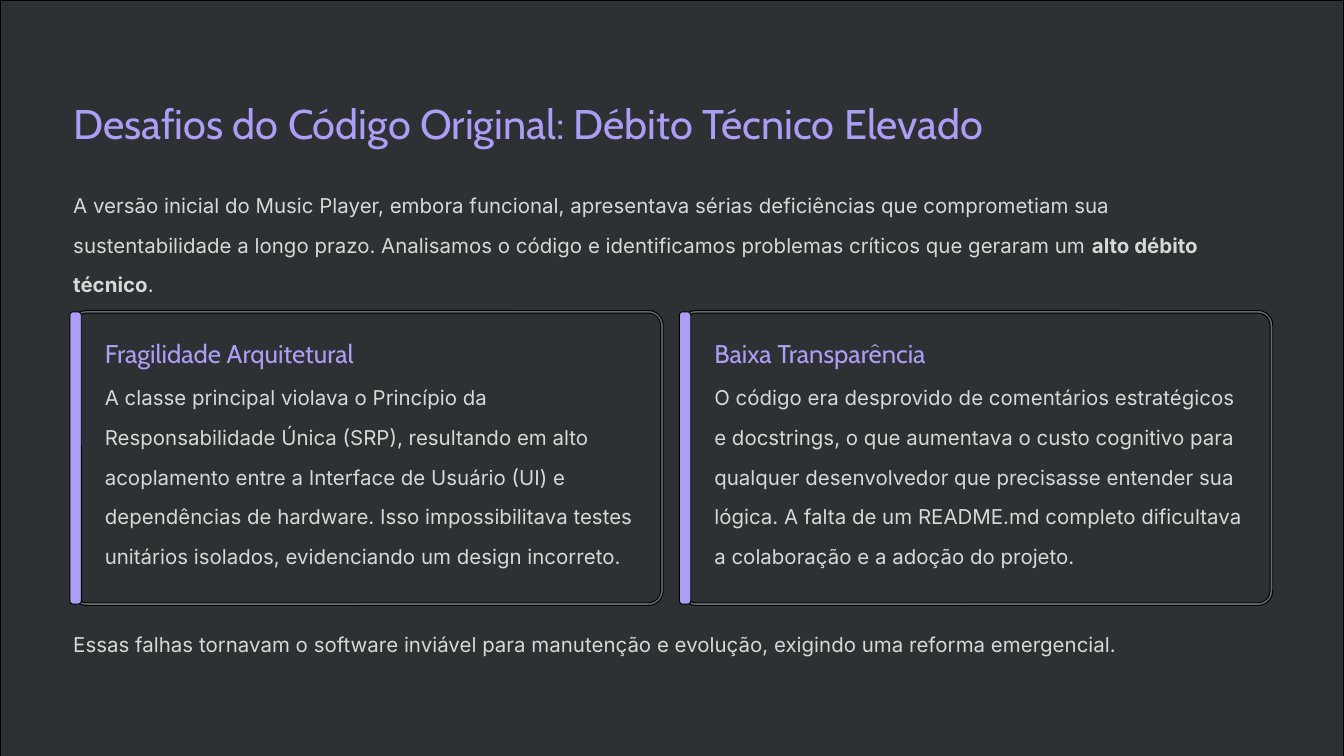
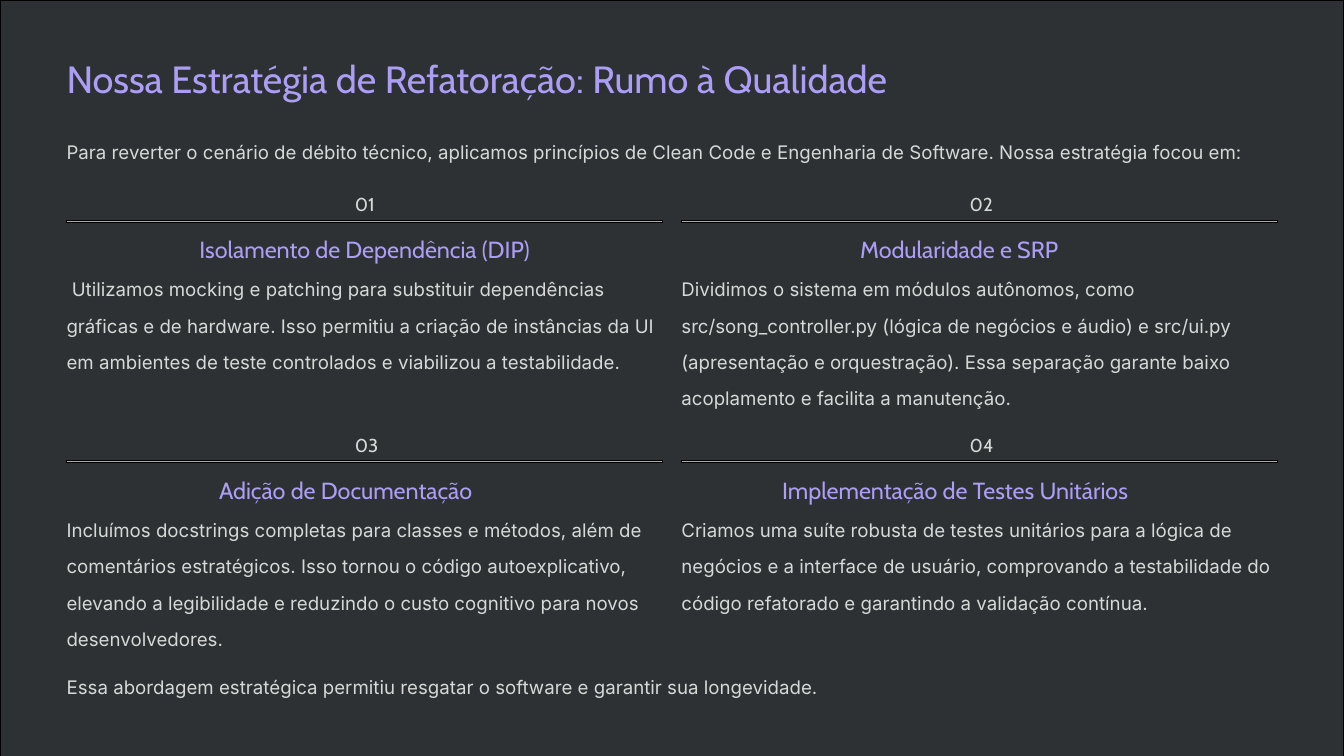
import pptx
import pptx.util
import pptx.dml.color
import pptx.enum.shapes
import pptx.enum.text

Inches = pptx.util.Inches
Pt = pptx.util.Pt
SHAPE = pptx.enum.shapes.MSO_SHAPE
ALIGN = pptx.enum.text.PP_ALIGN

COLORS = {
    "background": "2D3133",
    "accent": "AC9EF5",
    "text": "D6D9D7",
    "frame": "65696B",
    "outline": "000000",
}
HEAD_FONT = "Cabin"
BODY_FONT = "Inter"
WIDTH, HEIGHT = 20, 11.25


def rgb(name):
    return pptx.dml.color.RGBColor.from_string(COLORS[name])


class Deck:
    """Holds the presentation, its text sizes and the slide being filled."""

    def __init__(self):
        self.prs = pptx.Presentation()
        self.prs.slide_width = Inches(WIDTH)
        self.prs.slide_height = Inches(HEIGHT)

    def new_slide(self, title, heading, body):
        """Start a slide; each style is a (size, line spacing) pair in points."""
        self.s = self.prs.slides.add_slide(self.prs.slide_layouts[6])
        self.title_style, self.heading_style, self.body_style = title, heading, body
        self.box(0, 0, WIDTH, HEIGHT, "background")

    def box(self, x, y, w, h, fill, radius=0):
        kind = SHAPE.ROUNDED_RECTANGLE if radius else SHAPE.RECTANGLE
        sp = self.s.shapes.add_shape(kind, Inches(x), Inches(y), Inches(w), Inches(h))
        if radius:
            sp.adjustments[0] = radius / min(w, h)
        sp.shadow.inherit = False
        sp.fill.solid()
        sp.fill.fore_color.rgb = rgb(fill)
        sp.line.color.rgb = rgb("outline")
        sp.line.width = Pt(1)

    def text(self, x, y, w, h, runs, style, font, color, align=None):
        """Add a one-paragraph box; every second run is bold."""
        sp = self.s.shapes.add_textbox(Inches(x), Inches(y), Inches(w), Inches(h))
        tf = sp.text_frame
        tf.margin_left = tf.margin_right = tf.margin_top = tf.margin_bottom = 0
        tf.word_wrap = True
        tf.auto_size = pptx.enum.text.MSO_AUTO_SIZE.SHAPE_TO_FIT_TEXT
        p = tf.paragraphs[0]
        size, spacing = style
        p.font.size = Pt(size)
        p.font.name = font
        p.font.color.rgb = rgb(color)
        p.line_spacing = Pt(spacing)
        if align is not None:
            p.alignment = align
        for i, words in enumerate(runs):
            r = p.add_run()
            r.text = words
            if i % 2:
                r.font.bold = True

    def title(self, x, y, w, h, words):
        self.text(x, y, w, h, [words], self.title_style, HEAD_FONT, "accent")

    def heading(self, x, y, w, h, words, align=None):
        self.text(x, y, w, h, [words], self.heading_style, HEAD_FONT, "accent", align)

    def body(self, x, y, w, h, *runs):
        self.text(x, y, w, h, runs, self.body_style, BODY_FONT, "text")

    def card(self, x, y, heading, heading_w, words):
        w, h, edge = 8.76, 4.35, 0.02
        self.box(x - edge, y - edge, w + 2 * edge, h + 2 * edge, "frame", 0.22)
        self.box(x + edge, y + edge, w - 2 * edge, h - 2 * edge, "background", 0.18)
        self.box(x - 0.05, y, 0.17, h, "accent", 0.05)
        self.heading(x + 0.47, y + 0.27, heading_w, 0.57, heading)
        self.body(x + 0.47, y + 0.86, 7.93, 3.14, words)

    def step(self, x, y, number, heading, heading_x, heading_w, words, align=None):
        w = 8.87
        self.text(x + 4.29, y, 0.81, 0.49, [number], self.body_style, HEAD_FONT, "text")
        self.box(x, y + 0.62, w, 0.03, "accent")
        self.heading(heading_x, y + 0.73, heading_w, 0.54, heading, align)
        self.body(x, y + 1.27, w, 1.98, words)


def challenges(deck):
    deck.new_slide(title=(44.4, 66.7), heading=(27.5, 41.2), body=(21.9, 42.7))
    left, width = 1.09, 17.83
    deck.title(left, 1.28, 15.18, 0.91, "Desafios do Código Original: Débito Técnico Elevado")
    deck.body(
        left, 2.64, width, 1.65,
        "A versão inicial do Music Player, embora funcional, apresentava sérias "
        "deficiências que comprometiam sua sustentabilidade a longo prazo. Analisamos "
        "o código e identificamos problemas críticos que geraram um ",
        "alto débito técnico",
        ".",
    )
    cards = [
        ("Fragilidade Arquitetural", 4.3,
         "A classe principal violava o Princípio da Responsabilidade Única (SRP), "
         "resultando em alto acoplamento entre a Interface de Usuário (UI) e "
         "dependências de hardware. Isso impossibilitava testes unitários isolados, "
         "evidenciando um design incorreto."),
        ("Baixa Transparência", 3.88,
         "O código era desprovido de comentários estratégicos e docstrings, o que "
         "aumentava o custo cognitivo para qualquer desenvolvedor que precisasse "
         "entender sua lógica. A falta de um README.md completo dificultava a "
         "colaboração e a adoção do projeto."),
    ]
    for i, (heading, heading_w, words) in enumerate(cards):
        deck.card(left + i * 9.07, 4.64, heading, heading_w, words)
    deck.body(
        left, 9.18, width, 0.66,
        "Essas falhas tornavam o software inviável para manutenção e evolução, "
        "exigindo uma reforma emergencial.",
    )


def strategy(deck):
    deck.new_slide(title=(40.6, 60.7), heading=(25, 38.2), body=(20, 39))
    left, width = 0.99, 18.02
    deck.title(left, 0.66, 13.8, 0.83, "Nossa Estratégia de Refatoração: Rumo à Qualidade")
    deck.body(
        left, 1.89, width, 0.62,
        "Para reverter o cenário de débito técnico, aplicamos princípios de Clean Code "
        "e Engenharia de Software. Nossa estratégia focou em:",
    )
    steps = [
        ("Isolamento de Dependência (DIP)", 2.64, 5.57,
         " Utilizamos mocking e patching para substituir dependências gráficas e de "
         "hardware. Isso permitiu a criação de instâncias da UI em ambientes de teste "
         "controlados e viabilizou a testabilidade.", ALIGN.CENTER),
        ("Modularidade e SRP", 12.8, 3.54,
         "Dividimos o sistema em módulos autônomos, como src/song_controller.py "
         "(lógica de negócios e áudio) e src/ui.py (apresentação e orquestração). "
         "Essa separação garante baixo acoplamento e facilita a manutenção."),
        ("Adição de Documentação", 3.26, 4.34,
         "Incluímos docstrings completas para classes e métodos, além de comentários "
         "estratégicos. Isso tornou o código autoexplicativo, elevando a legibilidade "
         "e reduzindo o custo cognitivo para novos desenvolvedores."),
        ("Implementação de Testes Unitários", 11.64, 5.88,
         "Criamos uma suíte robusta de testes unitários para a lógica de negócios e a "
         "interface de usuário, comprovando a testabilidade do código refatorado e "
         "garantindo a validação contínua."),
    ]
    for i, step in enumerate(steps):
        row, col = divmod(i, 2)
        deck.step(left + col * 9.15, 2.66 + row * 3.58, f"{i + 1:02}", *step)
    deck.body(
        left, 9.85, width, 0.62,
        "Essa abordagem estratégica permitiu resgatar o software e garantir sua "
        "longevidade.",
    )


def main():
    deck = Deck()
    challenges(deck)
    strategy(deck)
    deck.prs.save("out.pptx")


if __name__ == "__main__":
    main()
